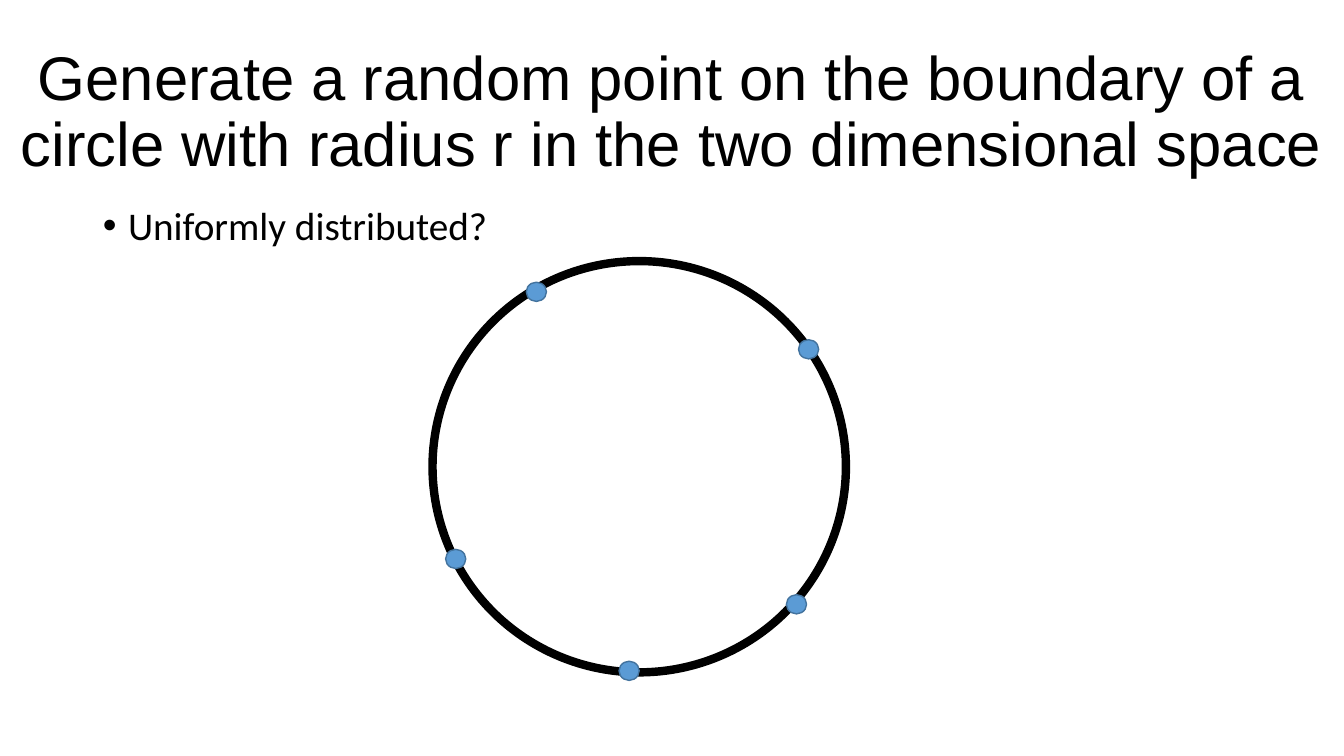
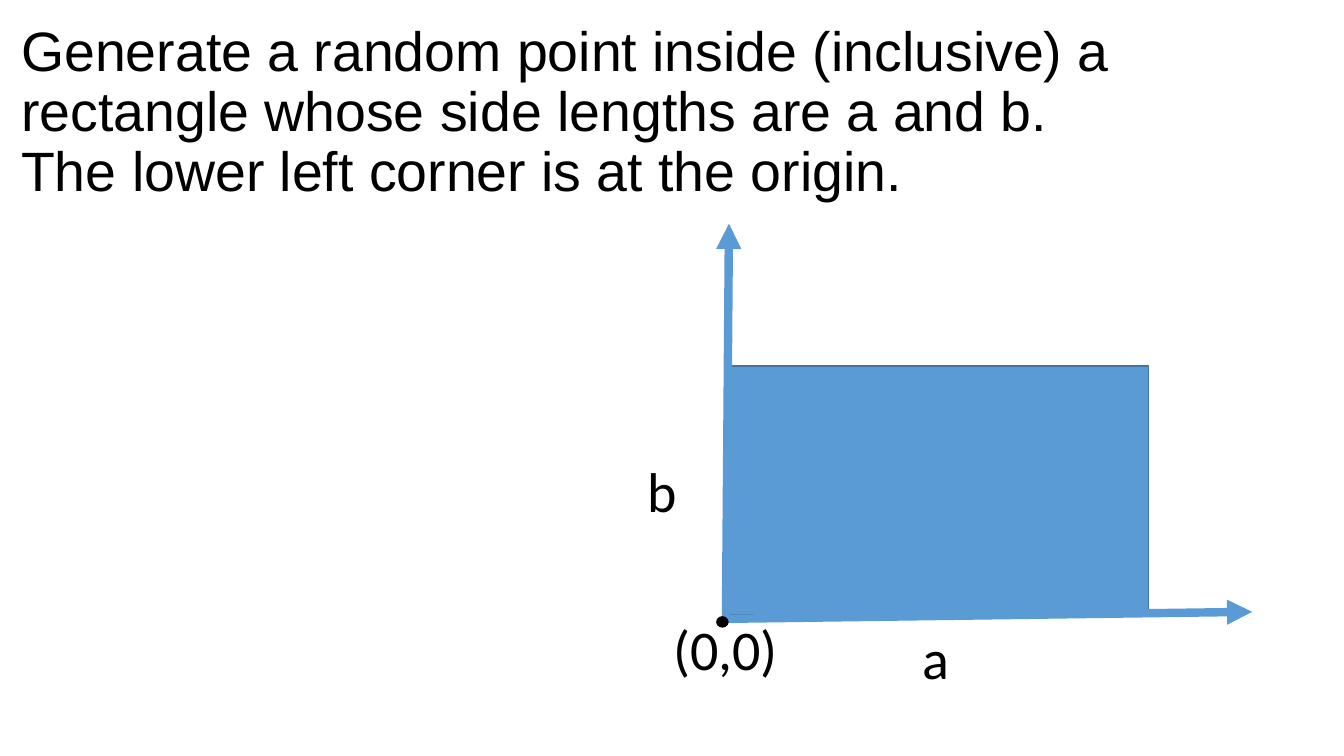
import pptx
import pptx.util
import pptx.dml.color
import pptx.enum.shapes
import pptx.enum.text
import pptx.oxml.ns
import lxml.etree

Inches, Pt = pptx.util.Inches, pptx.util.Pt
RGBColor = pptx.dml.color.RGBColor
MSO_SHAPE = pptx.enum.shapes.MSO_SHAPE
PP_ALIGN = pptx.enum.text.PP_ALIGN
qn = pptx.oxml.ns.qn

BLACK = RGBColor(0x00, 0x00, 0x00)
BLUE = RGBColor(0x5B, 0x9B, 0xD5)
OUTLINE = RGBColor(0x43, 0x73, 0x9E)
TITLE_FONT, BODY_FONT = "Arial", "Calibri"

# Boxes are (left, top, width, height) in inches
CIRCLE_TITLE = ("Generate a random point on the boundary of a circle with "
                "radius r in the two dimensional space")
CIRCLE_BULLET = "Uniformly distributed?"
CIRCLE = (4.29, 2.59, 4.1, 4.08)
POINT_SIZE = (0.2, 0.19)
POINTS = [(7.92, 3.37), (7.8, 5.9), (4.42, 5.45), (6.14, 6.56), (5.22, 2.8)]

RECT_TITLE = ("Generate a random point inside (inclusive) a rectangle whose "
              "side lengths are a and b. \vThe lower left corner is at the origin.")
RECTANGLE = (7.2, 3.63, 4.19, 2.47)
AXES = [(7.16, 6.14, 12.42, 6.07), (7.2, 6.15, 7.23, 2.22)]
LABELS = [("a", (9.05, 6.14, 0.47, 0.77)),
          ("b", (6.32, 4.48, 0.5, 0.77)),
          ("(0,0)", (6.58, 6.05, 1.25, 0.77))]
ORIGIN = (7.11, 6.12, 0.11, 0.1)


def inches(values):
    """Convert a sequence of numbers to lengths."""
    return [Inches(v) for v in values]


def place(shape, box):
    """Move and size a shape."""
    shape.left, shape.top, shape.width, shape.height = inches(box)


def write(tf, text, font, size):
    """Set one black paragraph in a text frame and return it."""
    tf.text = text
    p = tf.paragraphs[0]
    for r in p.runs:
        r.font.name, r.font.size = font, Pt(size)
        r.font.color.rgb = BLACK
    return p


def add_slide(prs, layout, title, box, size, align):
    """Add a slide with its title placed and formatted."""
    s = prs.slides.add_slide(prs.slide_layouts[layout])
    place(s.shapes.title, box)
    tf = s.shapes.title.text_frame
    tf.auto_size = pptx.enum.text.MSO_AUTO_SIZE.NONE
    tf.vertical_anchor = pptx.enum.text.MSO_ANCHOR.MIDDLE
    p = write(tf, title, TITLE_FONT, size)
    p.alignment, p.line_spacing = align, 0.9
    return s


def add_bullet(s, text, box):
    """Fill the body placeholder with one bulleted line."""
    body = s.placeholders[1]
    place(body, box)
    tf = body.text_frame
    tf.auto_size = pptx.enum.text.MSO_AUTO_SIZE.NONE
    p = write(tf, text, BODY_FONT, 28)
    p.line_spacing, p.space_before = 0.9, Pt(10)
    pPr = p._p.get_or_add_pPr()
    pPr.set("marL", str(Inches(0.25)))
    pPr.set("indent", str(Inches(-0.25)))
    lxml.etree.SubElement(pPr, qn("a:buFont")).set("typeface", "Arial")
    lxml.etree.SubElement(pPr, qn("a:buChar")).set("char", "\u2022")


def add_figure(s, kind, box, fill=BLUE, line=OUTLINE, width=1):
    """Add a preset shape; no fill colour leaves it hollow."""
    sp = s.shapes.add_shape(kind, *inches(box))
    sp.shadow.inherit = False
    if fill is None:
        sp.fill.background()
    else:
        sp.fill.solid()
        sp.fill.fore_color.rgb = fill
    sp.line.color.rgb, sp.line.width = line, Pt(width)


def add_axis(s, ends):
    """Add a thick arrow from the origin."""
    axis = s.shapes.add_connector(
        pptx.enum.shapes.MSO_CONNECTOR.STRAIGHT, *inches(ends))
    axis.line.color.rgb, axis.line.width = BLUE, Pt(6)
    ln = axis.line._get_or_add_ln()
    lxml.etree.SubElement(ln, qn("a:tailEnd")).set("type", "triangle")
    lxml.etree.SubElement(axis._element.spPr, qn("a:effectLst"))


def add_label(s, text, box):
    """Add a text box that grows with its text."""
    tf = s.shapes.add_textbox(*inches(box)).text_frame
    tf.word_wrap = False
    tf.auto_size = pptx.enum.text.MSO_AUTO_SIZE.SHAPE_TO_FIT_TEXT
    write(tf, text, BODY_FONT, 40)


def circle_slide(prs):
    """Build the slide with points on a circle."""
    s = add_slide(prs, 1, CIRCLE_TITLE, (0, 0.4, 13.33, 1.45), 44, PP_ALIGN.CENTER)
    add_bullet(s, CIRCLE_BULLET, (0.92, 2, 11.5, 4.76))
    add_figure(s, MSO_SHAPE.OVAL, CIRCLE, None, BLACK, 6)
    for corner in POINTS:
        add_figure(s, MSO_SHAPE.OVAL, corner + POINT_SIZE)


def rectangle_slide(prs):
    """Build the slide with a rectangle on two axes."""
    s = add_slide(prs, 5, RECT_TITLE, (0.11, 0.4, 13.22, 1.45), 39.6, PP_ALIGN.LEFT)
    add_figure(s, MSO_SHAPE.RECTANGLE, RECTANGLE)
    for ends in AXES:
        add_axis(s, ends)
    for text, box in LABELS:
        add_label(s, text, box)
    add_figure(s, MSO_SHAPE.OVAL, ORIGIN, BLACK, BLACK)


prs = pptx.Presentation()
prs.slide_width, prs.slide_height = inches((13.33, 7.5))
circle_slide(prs)
rectangle_slide(prs)
prs.save("out.pptx")
